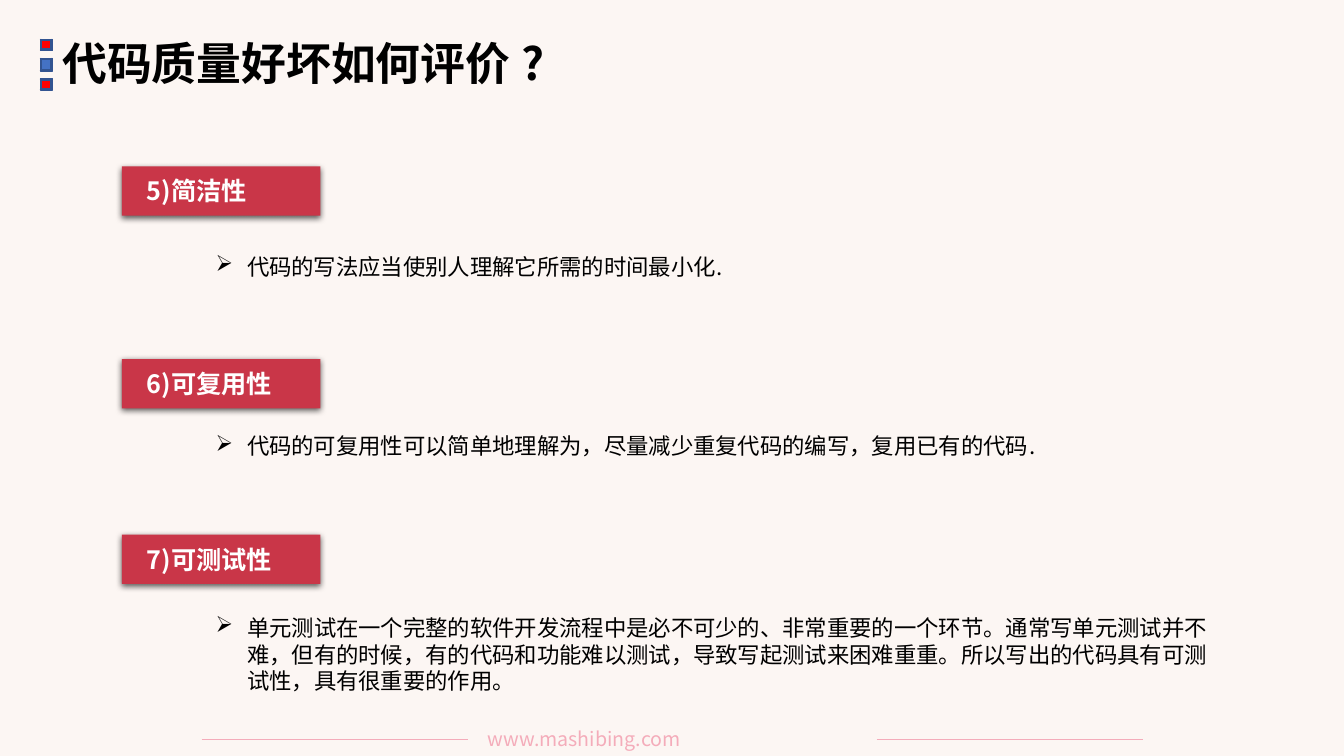
from dataclasses import dataclass

from lxml.etree import SubElement
from pptx import Presentation
from pptx.dml.color import RGBColor
from pptx.enum.shapes import MSO_CONNECTOR, MSO_SHAPE
from pptx.enum.text import MSO_AUTO_SIZE, PP_ALIGN
from pptx.oxml.ns import qn
from pptx.util import Pt

FONT = "Noto Sans CJK SC"
RED, PINK, BLACK, WHITE = "C93648", "F4ACBA", "000000", "FFFFFF"


@dataclass
class Criterion:
    label: str
    label_top: float
    detail: str
    detail_top: float
    detail_width: float
    detail_height: float = 26.6


@dataclass
class Marker:
    top: float
    height: float
    fill: str


CRITERIA = [
    Criterion("5)简洁性", 118.8, "代码的写法应当使别人理解它所需的时间最小化.", 177.1, 717.8),
    Criterion("6)可复用性", 256.5,
              "代码的可复用性可以简单地理解为，尽量减少重复代码的编写，复用已有的代码.",
              305.3, 616.3),
    Criterion("7)可测试性", 381.8,
              "单元测试在一个完整的软件开发流程中是必不可少的、非常重要的一个环节。"
              "通常写单元测试并不难，但有的时候，有的代码和功能难以测试，"
              "导致写起测试来困难重重。所以写出的代码具有可测试性，具有很重要的作用。",
              434.9, 738, 65.5),
]
MARKERS = [Marker(28.1, 8, "FF0000"), Marker(41.6, 9.2, "4472C4"), Marker(56.2, 8, "FF0000")]
FOOTER_LINES = [(144, 334), (626.4, 816.4)]
FOOTER_Y = 527.9


def color(value: str) -> RGBColor:
    return RGBColor.from_string(value)


def add_text(slide, text: str, left: float, top: float, width: float, height: float,
             size: float, ink: str, bold: bool = False, bullet: str = "",
             align: PP_ALIGN | None = None) -> None:
    frame = slide.shapes.add_textbox(Pt(left), Pt(top), Pt(width), Pt(height)).text_frame
    frame.word_wrap = True
    frame.auto_size = MSO_AUTO_SIZE.SHAPE_TO_FIT_TEXT
    paragraph = frame.paragraphs[0]
    paragraph.text = text
    if align is not None:
        paragraph.alignment = align
    if bullet:
        properties = paragraph._p.get_or_add_pPr()
        properties.set("marL", str(Pt(22.5)))
        properties.set("indent", str(-Pt(22.5)))
        SubElement(properties, qn("a:buChar"), char=bullet)
    font = paragraph.font
    font.name, font.size, font.bold = FONT, Pt(size), bold
    font.color.rgb = color(ink)
    SubElement(font._element, qn("a:ea"), typeface=FONT)


def add_block(slide, kind: MSO_SHAPE, left: float, top: float, width: float,
              height: float, fill: str):
    block = slide.shapes.add_shape(kind, Pt(left), Pt(top), Pt(width), Pt(height))
    block.shadow.inherit = False
    block.fill.solid()
    block.fill.fore_color.rgb = color(fill)
    block.line.fill.background()
    return block


def drop_shadow(block) -> None:
    effects = block._element.spPr.find(qn("a:effectLst"))
    shadow = SubElement(effects, qn("a:outerShdw"), blurRad=str(Pt(4.5)),
                        dist=str(Pt(1.5)), dir="5400000", algn="t", rotWithShape="0")
    tint = SubElement(shadow, qn("a:srgbClr"), val=BLACK)
    SubElement(tint, qn("a:alpha"), val="63000")


def add_footer(slide) -> None:
    for start, end in FOOTER_LINES:
        rule = slide.shapes.add_connector(
            MSO_CONNECTOR.STRAIGHT, Pt(start), Pt(FOOTER_Y), Pt(end), Pt(FOOTER_Y))
        rule.line.color.rgb = color(PINK)
        rule.line.width = Pt(0.5)
        SubElement(rule._element.spPr, qn("a:effectLst"))
    add_text(slide, "www.mashibing.com", 341.3, 515.5, 277.2, 24.5, 14, PINK,
             align=PP_ALIGN.JUSTIFY)


def add_title(slide) -> None:
    add_text(slide, "代码质量好坏如何评价 ?", 37.4, 22.3, 385.2, 46, 32, BLACK, bold=True)
    for marker in MARKERS:
        bevel = add_block(slide, MSO_SHAPE.BEVEL, 28.8, marker.top, 8.6, marker.height,
                          marker.fill)
        bevel.line.color.rgb = color("325491")
        bevel.line.width = Pt(1)


def add_criterion(slide, item: Criterion) -> None:
    plate = add_block(slide, MSO_SHAPE.RECTANGLE, 87.1, item.label_top, 141.8, 35.3, RED)
    drop_shadow(plate)
    add_text(slide, item.label, 97.9, item.label_top + 3.2, 168.5, 29, 18, WHITE, bold=True)
    add_text(slide, item.detail, 146.9, item.detail_top, item.detail_width,
             item.detail_height, 16, BLACK, bullet="➢")


def main() -> None:
    deck = Presentation()
    deck.slide_width, deck.slide_height = Pt(960), Pt(540)
    slide = deck.slides.add_slide(deck.slide_layouts[6])
    slide.background.fill.solid()
    slide.background.fill.fore_color.rgb = color("FCF6F3")
    add_footer(slide)
    for item in CRITERIA:
        add_criterion(slide, item)
    add_title(slide)
    deck.save("out.pptx")


if __name__ == "__main__":
    main()
